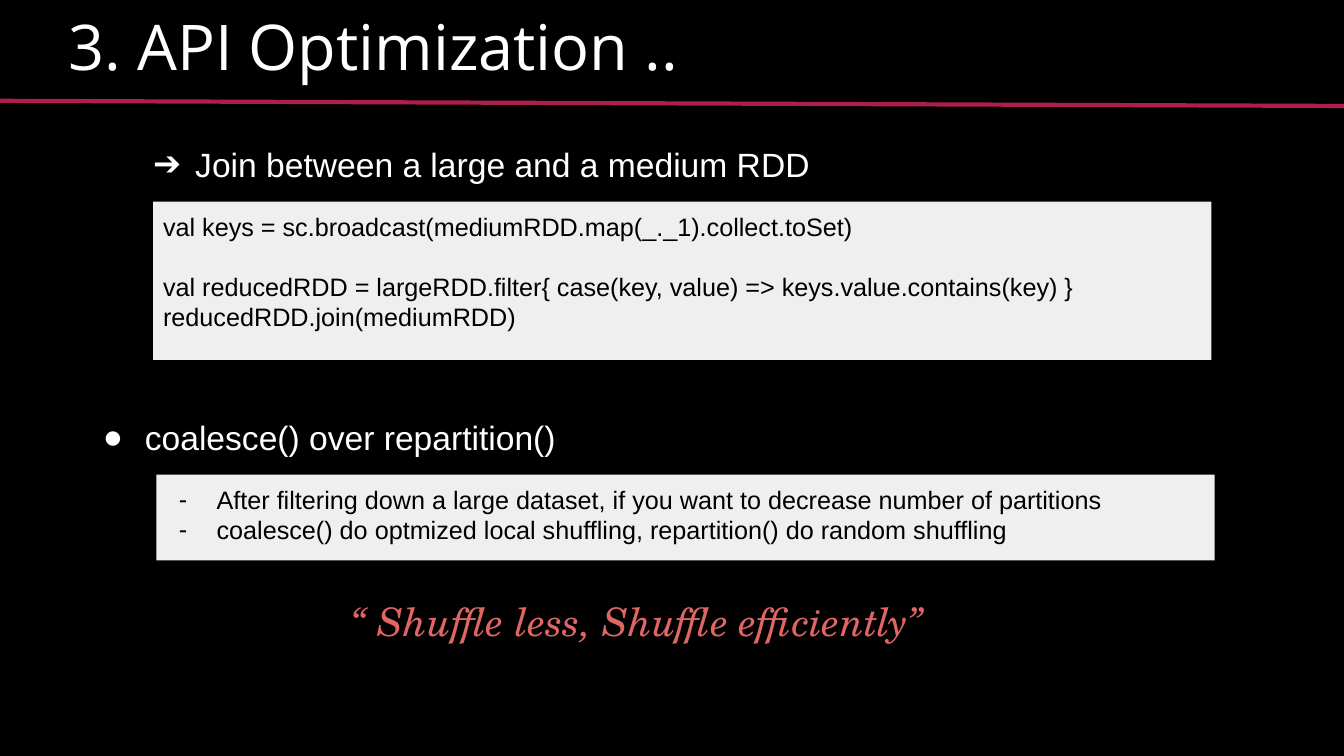
from lxml import etree
from pptx import Presentation
from pptx.dml.color import RGBColor
from pptx.enum import shapes, text
from pptx.oxml import ns
from pptx.util import Cm, Pt

BLACK = RGBColor(0x00, 0x00, 0x00)
WHITE = RGBColor(0xFF, 0xFF, 0xFF)
PANEL_GREY = RGBColor(0xEF, 0xEF, 0xEF)
RULE_PINK = RGBColor(0xAE, 0x1E, 0x55)
QUOTE_RED = RGBColor(0xE0, 0x66, 0x66)

SLIDE_WIDTH, SLIDE_HEIGHT = 33.87, 19.05


def place(shape, box):
    shape.left, shape.top, shape.width, shape.height = (Cm(value) for value in box)


def prepare_frame(shape, vertical_inset, anchor=text.MSO_ANCHOR.TOP):
    frame = shape.text_frame
    frame.word_wrap = True
    frame.auto_size = text.MSO_AUTO_SIZE.NONE
    frame.vertical_anchor = anchor
    frame.margin_left = frame.margin_right = Cm(0.25)
    frame.margin_top = frame.margin_bottom = Cm(vertical_inset)
    return frame


def add_child(parent, tag, **attributes):
    return etree.SubElement(parent, ns.qn(tag), **attributes)


def write_paragraph(frame, words, size, color, font="Arial", italic=None,
                    bullet=None, margin=0, hanging=0, before=0, spacing=1.0):
    """Fill the first empty paragraph, or add one; lengths in cm, gaps in points."""
    first = frame.paragraphs[0]
    paragraph = frame.add_paragraph() if first.runs else first
    paragraph.alignment = text.PP_ALIGN.LEFT
    paragraph.line_spacing = spacing
    paragraph.space_before, paragraph.space_after = Pt(before), Pt(0)
    properties = paragraph._p.get_or_add_pPr()
    properties.set("marL", str(Cm(margin)))
    properties.set("indent", str(-Cm(hanging)))
    if bullet:
        bullet_color = add_child(properties, "a:buClr")
        add_child(bullet_color, "a:srgbClr", val=str(color))
        add_child(properties, "a:buFont", typeface=font)
        add_child(properties, "a:buChar", char=bullet)
    else:
        add_child(properties, "a:buNone")
    run = paragraph.add_run()
    run.text = words
    run.font.name, run.font.size, run.font.italic = font, Pt(size), italic
    run.font.color.rgb = color


def fill_title(slide, box):
    title = slide.shapes.title
    place(title, box)
    frame = prepare_frame(title, 0.13, text.MSO_ANCHOR.MIDDLE)
    write_paragraph(frame, "3. API Optimization ..", 45, WHITE, font="Open Sans")


def fill_body(slide, box):
    body = slide.placeholders[1]
    place(body, box)
    frame = prepare_frame(body, 0.25)
    write_paragraph(frame, "Join between a large and a medium RDD", 24, WHITE,
                    bullet="➔", margin=2.54, hanging=1.06)
    write_paragraph(frame, "coalesce() over repartition()", 24, WHITE,
                    bullet="●", margin=1.27, hanging=1.06, before=166)
    write_paragraph(frame, "“ Shuffle less, Shuffle efficiently”", 28, QUOTE_RED,
                    font="TeX Gyre Schola", italic=True, margin=6.48,
                    before=104, spacing=0.9)


def add_title_rule(slide, box):
    left, top, width, height = box
    rule = slide.shapes.add_connector(
        shapes.MSO_CONNECTOR.STRAIGHT, Cm(left), Cm(top), Cm(left + width), Cm(top + height))
    rule.line.color.rgb = RULE_PINK
    rule.line.width = Pt(3)
    add_child(rule._element.spPr, "a:effectLst")


def add_panel(slide, box, lines, **formatting):
    """Grey panel; each line is its words and the gap above it."""
    panel = slide.shapes.add_shape(
        shapes.MSO_SHAPE.RECTANGLE, *(Cm(value) for value in box))
    panel.shadow.inherit = False
    panel.fill.solid()
    panel.fill.fore_color.rgb = PANEL_GREY
    panel.line.fill.background()
    frame = prepare_frame(panel, 0.25)
    for words, gap in lines:
        write_paragraph(frame, words, 18, BLACK, before=gap, **formatting)


def build_slide(presentation):
    slide = presentation.slides.add_slide(presentation.slide_layouts[1])
    slide.background.fill.solid()
    slide.background.fill.fore_color.rgb = BLACK

    # Heading and main points
    fill_title(slide, (1.47, 0.05, 26.24, 2.16))
    fill_body(slide, (2.13, 3.38, 30.3, 14.33))
    add_title_rule(slide, (0, 2.54, SLIDE_WIDTH, 0.13))

    # Details under each point
    add_panel(slide, (3.94, 11.96, 26.67, 2.16), [
        ("After filtering down a large dataset, if you want to decrease number of partitions", 0),
        ("coalesce() do optmized local shuffling, repartition() do random shuffling", 0),
    ], bullet="-", margin=1.27, hanging=0.95)
    add_panel(slide, (3.86, 5.08, 26.67, 3.99), [
        ("val keys = sc.broadcast(mediumRDD.map(_._1).collect.toSet)", 0),
        ("val reducedRDD = largeRDD.filter{ case(key, value) => keys.value.contains(key) }", 21),
        ("reducedRDD.join(mediumRDD)", 0),
    ])


presentation = Presentation()
presentation.slide_width, presentation.slide_height = Cm(SLIDE_WIDTH), Cm(SLIDE_HEIGHT)
build_slide(presentation)
presentation.save("out.pptx")
